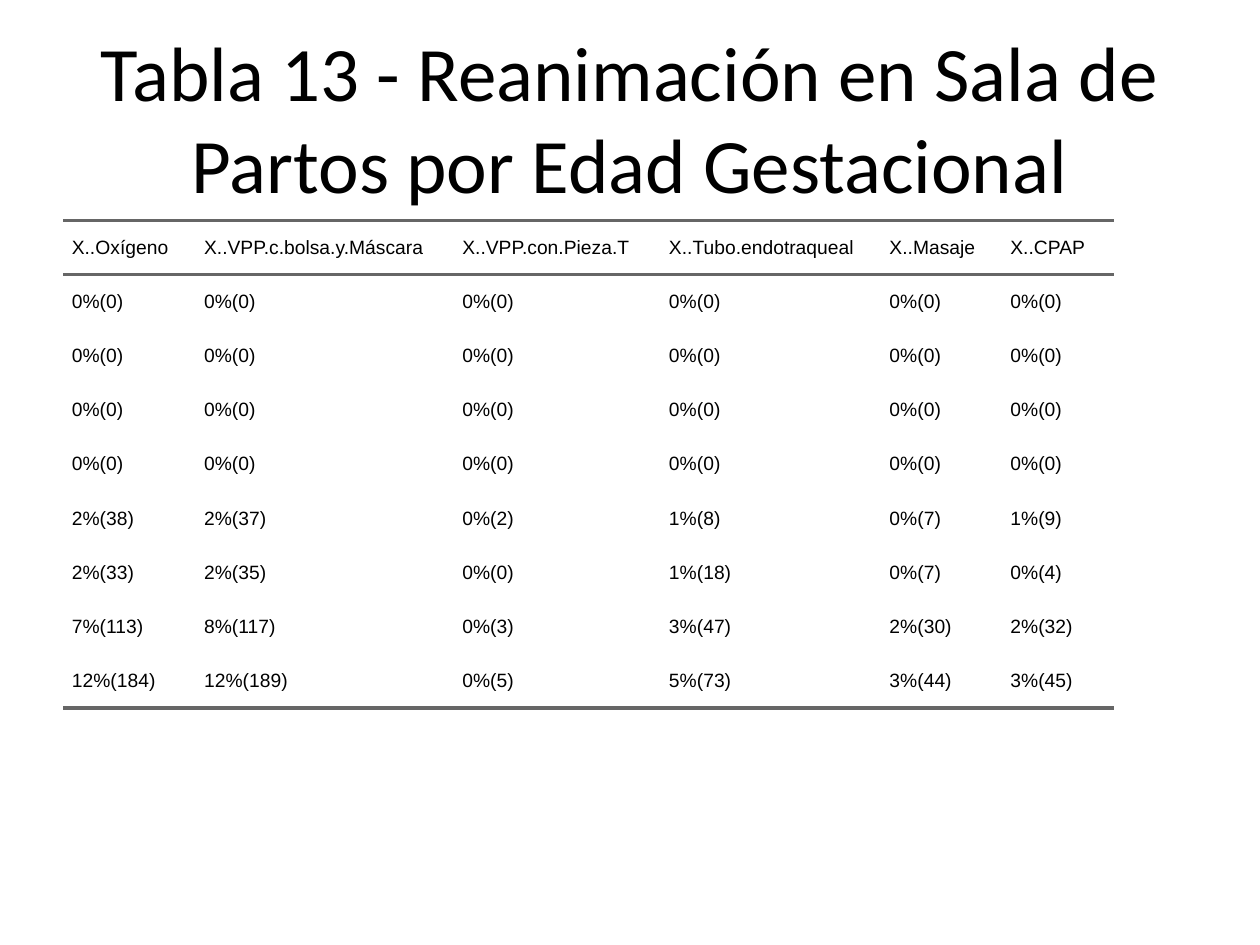
from lxml import etree
from pptx import Presentation
from pptx import util as u
from pptx.dml.color import RGBColor
from pptx.enum import text
from pptx.oxml.ns import qn

NO_STYLE = "{2D5ABB26-0587-4C30-8999-92F81FD0307C}"
COLUMN_WIDTHS = [1.05, 2.05, 1.64, 1.75, 0.96, 0.89]
ROW_HEIGHT = 0.43
HEADERS = ["X..Oxígeno", "X..VPP.c.bolsa.y.Máscara", "X..VPP.con.Pieza.T",
           "X..Tubo.endotraqueal", "X..Masaje", "X..CPAP"]
RESUSCITATION = [["0%(0)"] * len(HEADERS)] * 4 + [
    ["2%(38)", "2%(37)", "0%(2)", "1%(8)", "0%(7)", "1%(9)"],
    ["2%(33)", "2%(35)", "0%(0)", "1%(18)", "0%(7)", "0%(4)"],
    ["7%(113)", "8%(117)", "0%(3)", "3%(47)", "2%(30)", "2%(32)"],
    ["12%(184)", "12%(189)", "0%(5)", "5%(73)", "3%(44)", "3%(45)"],
]


def rgb(value):
    return RGBColor.from_string(value)


def add_run(p, content, size, font):
    r = p.add_run()
    r.text = content
    r.font.size = u.Pt(size)
    r.font.name = font
    r.font.color.rgb = rgb("000000")


def add_title(s, left, top, width, height):
    box = s.shapes.add_textbox(u.Inches(left), u.Inches(top),
                               u.Inches(width), u.Inches(height))
    tf = box.text_frame
    tf.word_wrap = True
    tf.vertical_anchor = text.MSO_ANCHOR.MIDDLE
    p = tf.paragraphs[0]
    p.alignment = text.PP_ALIGN.CENTER
    add_run(p, "Tabla 13 - Reanimación en Sala de Partos por Edad Gestacional",
            44, "Calibri")


def add_border(cell, side, color="666666", width=2):
    """Draw one cell edge; side is T or B, and T must be added before B."""
    ln = etree.SubElement(cell._tc.get_or_add_tcPr(), qn(f"a:ln{side}"),
                          w=str(u.Pt(width)))
    fill = etree.SubElement(ln, qn("a:solidFill"))
    etree.SubElement(fill, qn("a:srgbClr"), val=color)


def fill_cell(cell, content, sides):
    cell.margin_left = cell.margin_right = 0
    cell.margin_top = cell.margin_bottom = 0
    cell.vertical_anchor = text.MSO_ANCHOR.MIDDLE
    for side in sides:
        add_border(cell, side)
    cell.fill.background()
    p = cell.text_frame.paragraphs[0]
    p._p.get_or_add_pPr().set("marL", str(u.Inches(0.07)))
    add_run(p, content, 11, "Arial")


def add_resuscitation_table(s, left, top):
    rows = [HEADERS] + RESUSCITATION
    frame = s.shapes.add_table(len(rows), len(HEADERS),
                               u.Inches(left), u.Inches(top),
                               u.Inches(sum(COLUMN_WIDTHS)),
                               u.Inches(ROW_HEIGHT * len(rows)))
    table = frame.table
    table.first_row = table.horz_banding = False
    table._tbl.tblPr.find(qn("a:tableStyleId")).text = NO_STYLE
    for column, width in zip(table.columns, COLUMN_WIDTHS):
        column.width = u.Inches(width)
    rules = {0: "TB", len(rows) - 1: "B"}
    for i, values in enumerate(rows):
        table.rows[i].height = u.Inches(ROW_HEIGHT)
        for j, value in enumerate(values):
            fill_cell(table.cell(i, j), value, rules.get(i, ""))


def main():
    prs = Presentation()
    prs.slide_width, prs.slide_height = u.Inches(10), u.Inches(7.5)
    s = prs.slides.add_slide(prs.slide_layouts[6])
    add_title(s, 0.5, 0.3, 9, 1.25)
    add_resuscitation_table(s, 0.5, 1.75)
    prs.save("out.pptx")


if __name__ == "__main__":
    main()
